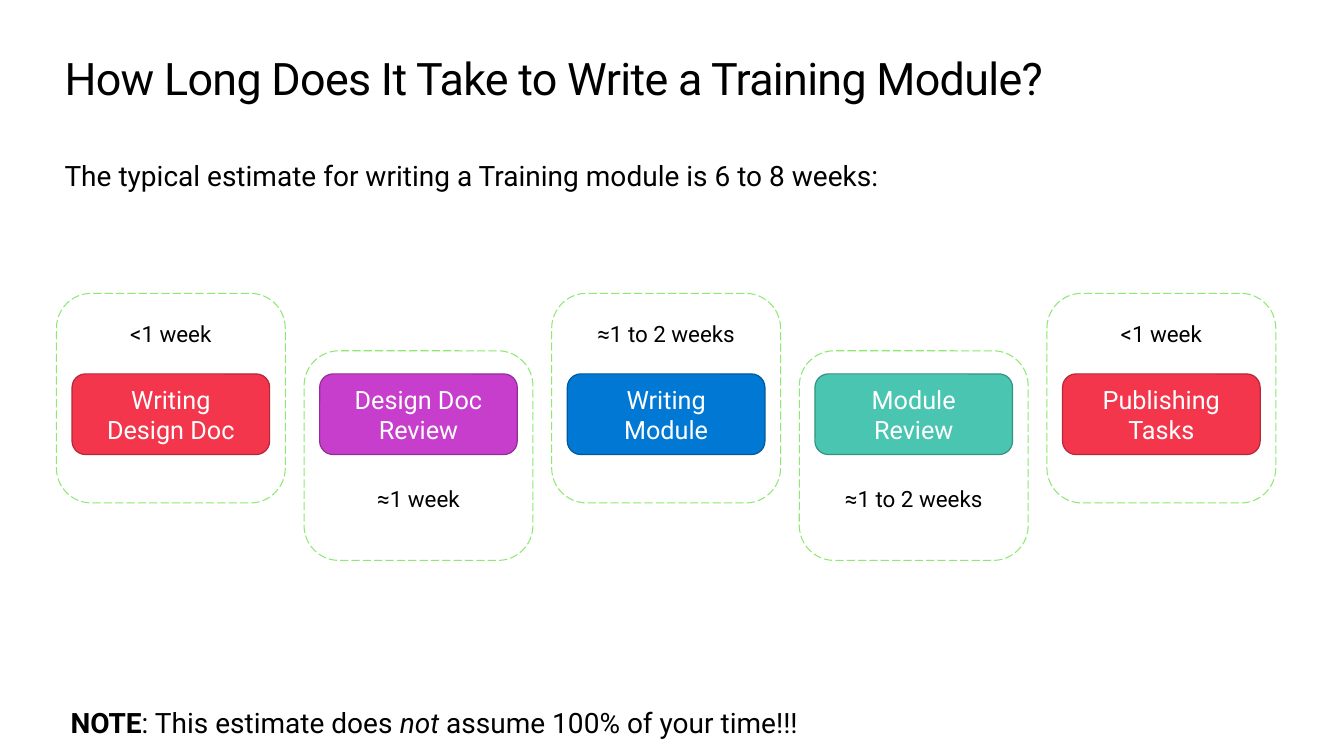
import pptx
import pptx.dml.color
import pptx.enum.dml
import pptx.enum.shapes
import pptx.enum.text
import pptx.util

Inches = pptx.util.Inches
RGB = pptx.dml.color.RGBColor
ANCHOR = pptx.enum.text.MSO_ANCHOR
ALIGN = pptx.enum.text.PP_ALIGN

BLACK = RGB(0x00, 0x00, 0x00)
WHITE = RGB(0xFF, 0xFF, 0xFF)
FRAME_GREEN = RGB(0x8D, 0xE9, 0x71)
RED, DARK_RED = RGB(0xF4, 0x36, 0x4C), RGB(0xB5, 0x28, 0x38)
PURPLE, DARK_PURPLE = RGB(0xC7, 0x3E, 0xCC), RGB(0x93, 0x2E, 0x97)
BLUE, DARK_BLUE = RGB(0x00, 0x78, 0xD4), RGB(0x00, 0x59, 0x9D)
TEAL, DARK_TEAL = RGB(0x49, 0xC5, 0xB1), RGB(0x36, 0x92, 0x83)

SLIDE_WIDTH, SLIDE_HEIGHT = 13.33, 7.5
TEXT_LEFT, TEXT_WIDTH = 0.64, 12.05

# Phase grid: one column per phase, frames alternate between two rows
FIRST_COLUMN, COLUMN_PITCH = 0.56, 2.456
FRAME_WIDTH, FRAME_HEIGHT = 2.27, 2.08
FRAME_ROWS = (2.91, 3.48)
DURATION_INSETS = (0.16, 1.23)
BOX_INDENT, BOX_TOP, BOX_WIDTH, BOX_HEIGHT = 0.155, 3.71, 1.96, 0.8

PHASES = [
    ("Writing\nDesign Doc", "<1 week", RED, DARK_RED),
    ("Design Doc\nReview", "≈1 week", PURPLE, DARK_PURPLE),
    ("Writing\nModule", "≈1 to 2 weeks", BLUE, DARK_BLUE),
    ("Module\nReview", "≈1 to 2 weeks", TEAL, DARK_TEAL),
    ("Publishing\nTasks", "<1 week", RED, DARK_RED),
]


def write_text(holder, *pieces, size, color=BLACK, align=ALIGN.LEFT,
               anchor=ANCHOR.TOP, insets=(0, 0, 0, 0), wrap=True, spacing=None):
    """Fill holder with pieces: plain strings or (string, "bold" / "italic")."""
    frame = holder.text_frame
    frame.auto_size = pptx.enum.text.MSO_AUTO_SIZE.NONE
    frame.word_wrap = wrap
    frame.vertical_anchor = anchor
    (frame.margin_left, frame.margin_top,
     frame.margin_right, frame.margin_bottom) = map(Inches, insets)
    paragraph = frame.paragraphs[0]
    paragraph.alignment = align
    for piece in pieces:
        words, style = (piece, "") if isinstance(piece, str) else piece
        for number, line in enumerate(words.split("\n")):
            if number:
                paragraph.add_line_break()
            run = paragraph.add_run()
            run.text = line
            run.font.name = "Roboto"
            run.font.size = pptx.util.Pt(size)
            run.font.color.rgb = color
            run.font.bold = style == "bold"
            run.font.italic = style == "italic"
            if spacing is not None:
                run.font._element.set("spc", str(int(spacing * 100)))


def add_title(slide, words):
    title = slide.shapes.title
    title.left, title.top = Inches(TEXT_LEFT), Inches(0.5)
    title.width, title.height = Inches(TEXT_WIDTH), Inches(0.54)
    write_text(title, words, size=32, spacing=-0.5)


def add_text(slide, left, top, width, height, *pieces, **text_format):
    box = slide.shapes.add_textbox(*map(Inches, (left, top, width, height)))
    write_text(box, *pieces, **text_format)


def add_rounded(shapes, left, top, width, height, line, line_width, fill=None):
    rounded = shapes.add_shape(
        pptx.enum.shapes.MSO_SHAPE.ROUNDED_RECTANGLE,
        *map(Inches, (left, top, width, height)))
    rounded.shadow.inherit = False
    rounded.line.color.rgb = line
    rounded.line.width = pptx.util.Pt(line_width)
    if fill is None:
        rounded.fill.background()
    else:
        rounded.fill.solid()
        rounded.fill.fore_color.rgb = fill
    return rounded


def add_phase(slide, column, name, duration, fill, line):
    """Group a coloured phase box with the dashed frame that gives its duration."""
    group = slide.shapes.add_group_shape()
    left = FIRST_COLUMN + column * COLUMN_PITCH
    row = column % 2

    phase_box = add_rounded(group.shapes, left + BOX_INDENT, BOX_TOP,
                            BOX_WIDTH, BOX_HEIGHT, line, 0.85, fill)
    write_text(phase_box, name, size=18, color=WHITE, align=ALIGN.CENTER,
               anchor=ANCHOR.MIDDLE, insets=(0.2, 0.16, 0.2, 0.16))

    duration_frame = add_rounded(group.shapes, left, FRAME_ROWS[row],
                                 FRAME_WIDTH, FRAME_HEIGHT, FRAME_GREEN, 0.75)
    duration_frame.line.dash_style = pptx.enum.dml.MSO_LINE.LONG_DASH
    write_text(duration_frame, duration, size=16, align=ALIGN.CENTER,
               insets=(0.2, DURATION_INSETS[row], 0.2, 0.16))


def main():
    deck = pptx.Presentation()
    deck.slide_width = Inches(SLIDE_WIDTH)
    deck.slide_height = Inches(SLIDE_HEIGHT)
    slide = deck.slides.add_slide(deck.slide_layouts.get_by_name("Title Only"))

    add_title(slide, "How Long Does It Take to Write a Training Module?")
    add_text(slide, TEXT_LEFT, 1.57, TEXT_WIDTH, 0.4,
             "The typical estimate for writing a Training module is 6 to 8 weeks:",
             size=20)
    for column, phase in enumerate(PHASES):
        add_phase(slide, column, *phase)
    add_text(slide, 0.7, 7, 7.24, 0.4, ("NOTE", "bold"), ": This estimate does ",
             ("not", "italic"), " assume 100% of your time!!!", size=20, wrap=False)

    deck.save("out.pptx")


if __name__ == "__main__":
    main()
